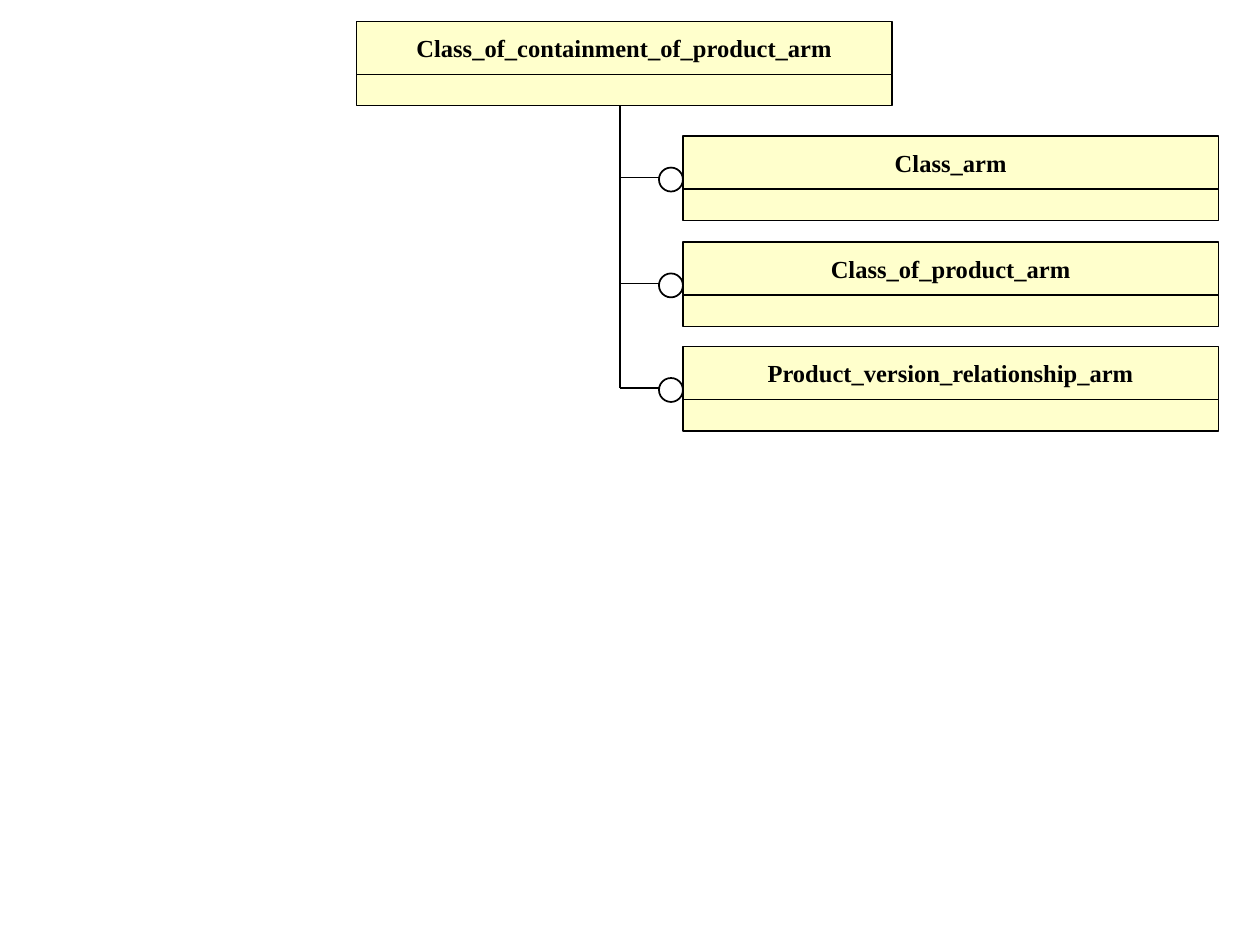
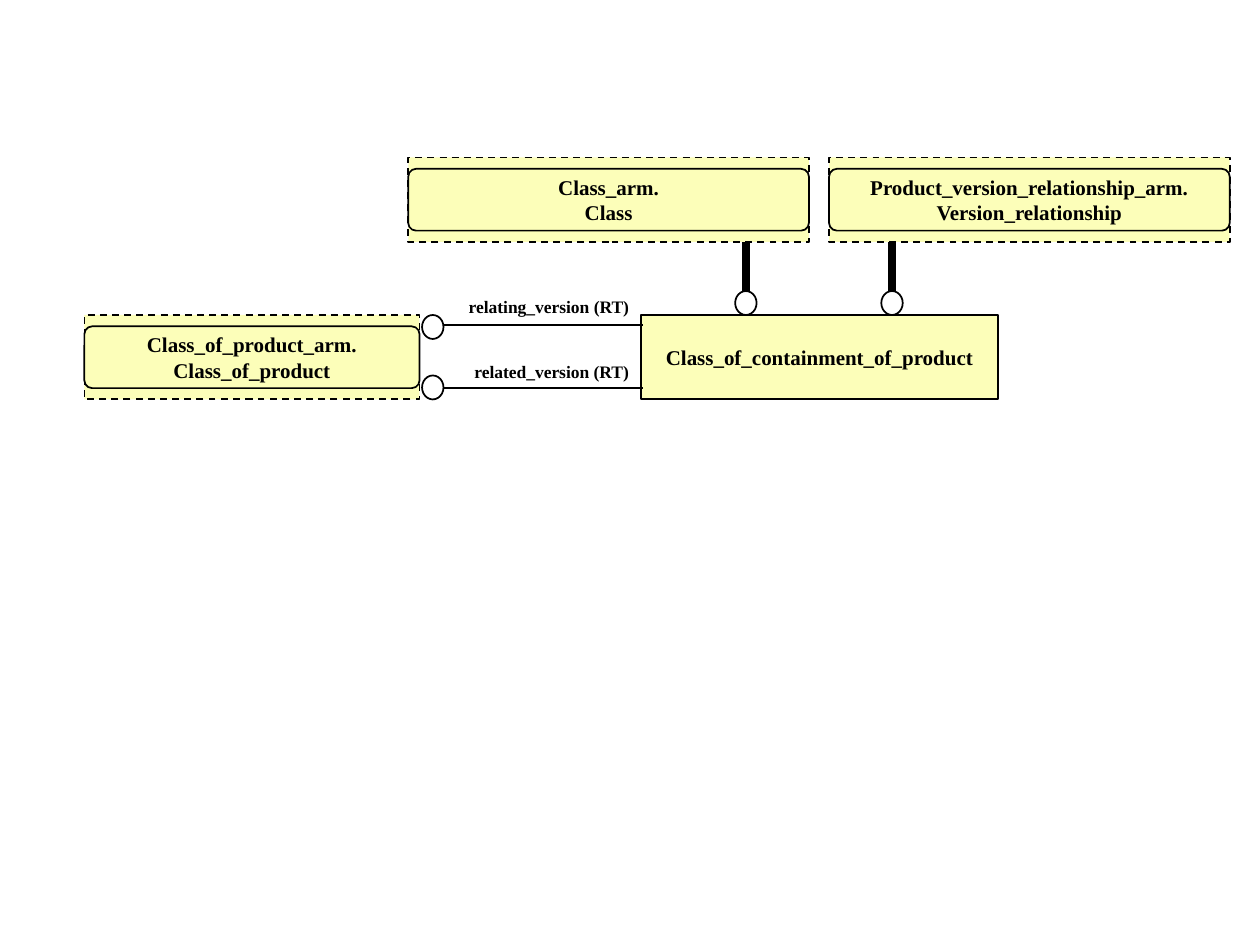
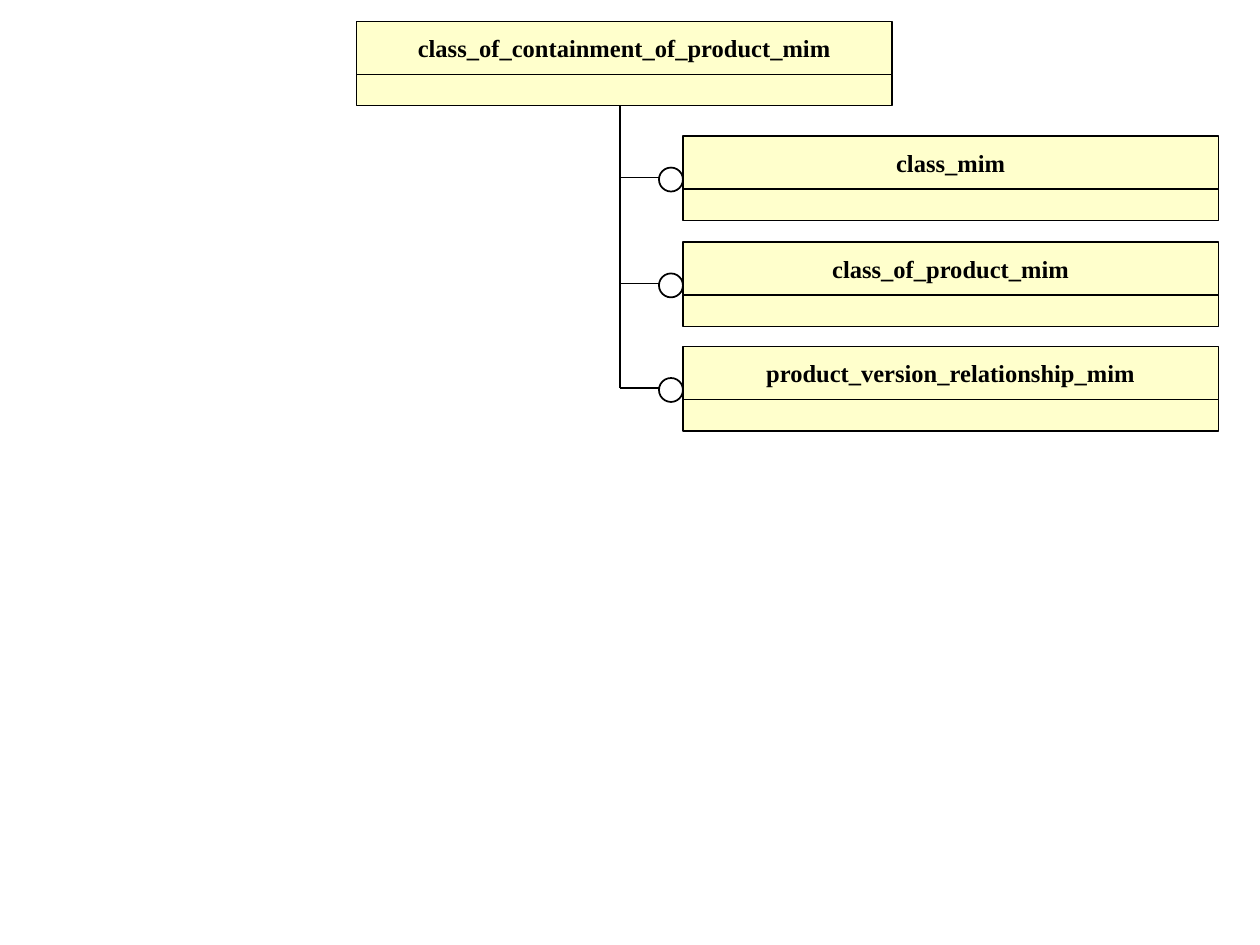
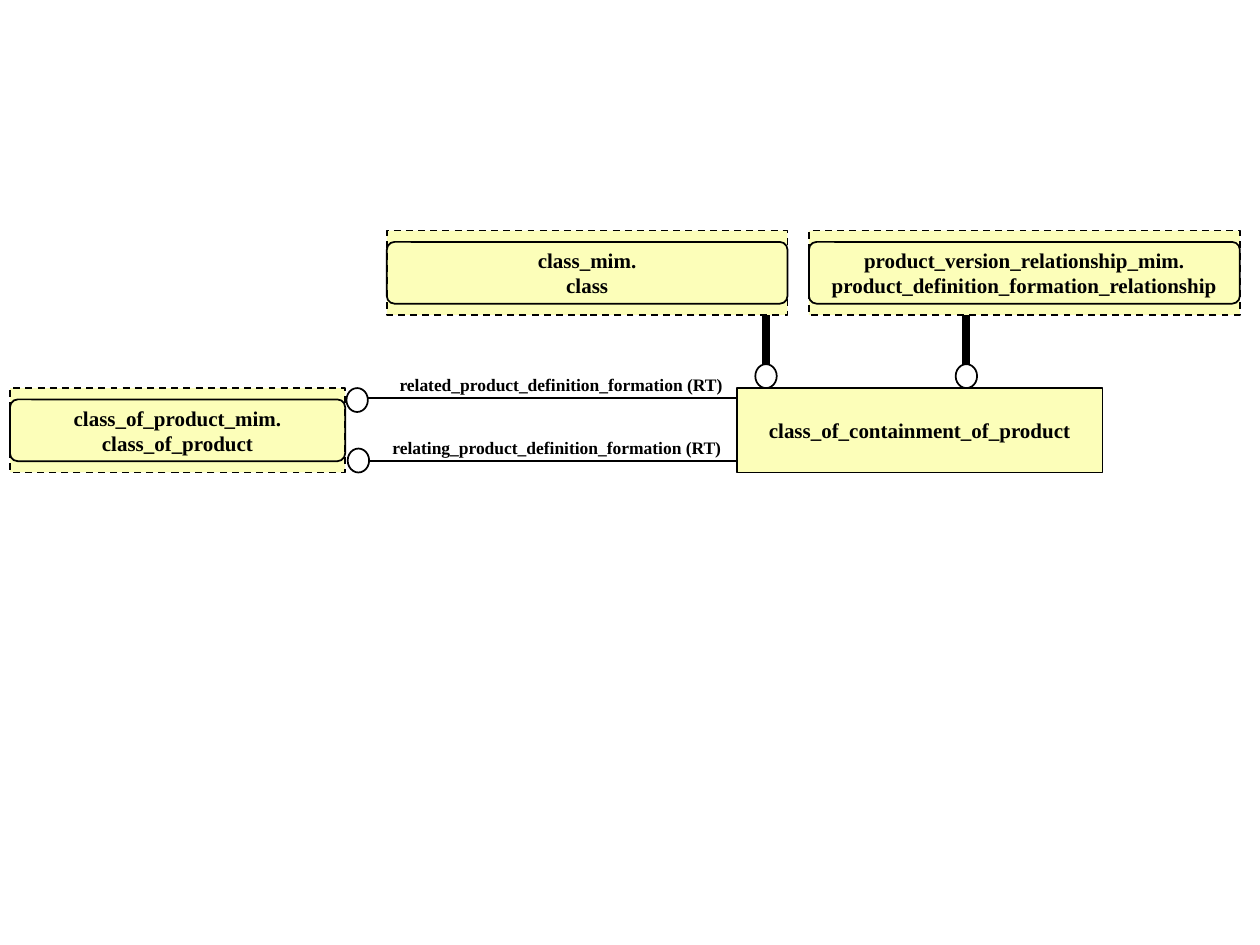
from lxml.etree import SubElement
from pptx import Presentation
from pptx.dml.color import RGBColor
from pptx.enum.dml import MSO_LINE
from pptx.enum.shapes import MSO_CONNECTOR, MSO_SHAPE
from pptx.enum.text import MSO_ANCHOR, MSO_AUTO_SIZE, PP_ALIGN
from pptx.oxml.ns import qn
from pptx.util import Inches, Pt

BLACK = RGBColor(0x00, 0x00, 0x00)
WHITE = RGBColor(0xFF, 0xFF, 0xFF)
SCHEMA_YELLOW = RGBColor(0xFF, 0xFF, 0xCC)
ENTITY_YELLOW = RGBColor(0xFC, 0xFE, 0xB9)
FONT = "Times New Roman"

SCHEMA_WIDTH = 4.25
NAME_HEIGHT = 0.42
ATTRIBUTE_HEIGHT = 0.25
ROW_TOPS = (1.08, 1.92, 2.75)
TRUNK_X = 4.92
ENTITY_HEIGHT = 0.67
ROW_DROP = 1.25
CIRCLE_WIDTH = 0.17
CIRCLE_HEIGHT = 0.19


def add_page(deck):
    return deck.slides.add_slide(deck.slide_layouts[6])


def write_lines(box, lines, size, align):
    frame = box.text_frame
    frame.text = "\n".join(lines)
    for para in frame.paragraphs:
        para.alignment = align
        para.font.name = FONT
        para.font.size = Pt(size)
        para.font.bold = True
        para.font.color.rgb = BLACK


def add_outlined(shapes, kind, left, top, width, height, fill=None, weight=1):
    box = shapes.add_shape(kind, Inches(left), Inches(top), Inches(width), Inches(height))
    box.shadow.inherit = False
    if fill is None:
        box.fill.background()
    else:
        box.fill.solid()
        box.fill.fore_color.rgb = fill
    box.line.color.rgb = BLACK
    box.line.width = Pt(weight)
    return box


def add_named_box(shapes, lines, left, top, width, height, fill, size, weight=1):
    box = add_outlined(shapes, MSO_SHAPE.RECTANGLE, left, top, width, height, fill, weight)
    box.text_frame.word_wrap = False
    box.text_frame.vertical_anchor = MSO_ANCHOR.MIDDLE
    write_lines(box, lines, size, PP_ALIGN.CENTER)
    return box


def add_line(page, start, end, weight):
    line = page.shapes.add_connector(
        MSO_CONNECTOR.STRAIGHT, *(Inches(value) for value in (*start, *end)))
    line.line.color.rgb = BLACK
    line.line.width = Pt(weight)
    SubElement(line._element.spPr, qn("a:effectLst"))


def add_circle(page, left, top, width=CIRCLE_WIDTH):
    add_outlined(page.shapes, MSO_SHAPE.OVAL, left, top, width, CIRCLE_HEIGHT, WHITE)


def add_schema(page, name, left, top):
    shapes = page.shapes.add_group_shape().shapes
    add_named_box(shapes, [name], left, top, SCHEMA_WIDTH, NAME_HEIGHT,
                  SCHEMA_YELLOW, 14, 0.75)
    add_outlined(shapes, MSO_SHAPE.RECTANGLE, left, top + NAME_HEIGHT,
                 SCHEMA_WIDTH, ATTRIBUTE_HEIGHT, SCHEMA_YELLOW, 0.75)


def add_schema_page(deck, parent, used_schemas):
    page = add_page(deck)
    add_schema(page, parent, 2.83, 0.17)
    add_line(page, (TRUNK_X, ROW_TOPS[-1] + 0.33), (TRUNK_X, 0.83), 0.75)
    for name, top in zip(used_schemas, ROW_TOPS):
        add_schema(page, name, 5.42, top)
        add_line(page, (TRUNK_X, top + 0.33), (5.25, top + 0.33), 0.75)
        add_circle(page, 5.23, top + 0.25, CIRCLE_HEIGHT)


def add_external_entity(page, lines, left, top, width):
    shapes = page.shapes.add_group_shape().shapes
    frame = add_named_box(shapes, lines, left, top, width, ENTITY_HEIGHT, ENTITY_YELLOW, 12)
    frame.line.dash_style = MSO_LINE.DASH
    inner = add_outlined(shapes, MSO_SHAPE.ROUNDED_RECTANGLE, left, top + 0.09, width, 0.49)
    inner.adjustments[0] = 0.125


def add_role(page, text, left, top, width, wrap):
    box = page.shapes.add_textbox(Inches(left), Inches(top), Inches(width), Inches(0.27))
    box.text_frame.word_wrap = wrap
    box.text_frame.auto_size = MSO_AUTO_SIZE.SHAPE_TO_FIT_TEXT
    write_lines(box, [text], 10, PP_ALIGN.RIGHT)


def add_supertype_stem(page, center, top, bottom):
    add_line(page, (center, top), (center, bottom - 0.17), 4.5)
    add_circle(page, center - CIRCLE_WIDTH / 2, bottom - CIRCLE_HEIGHT)


def add_entity_page(deck, top, entity, entity_left, entity_width, target, target_left,
                    supertypes, stems, roles, circles, line_start):
    page = add_page(deck)
    entity_top = top + ROW_DROP
    add_external_entity(page, target, target_left, entity_top, 2.66)
    add_named_box(page.shapes, [entity], entity_left, entity_top, entity_width,
                  ENTITY_HEIGHT, ENTITY_YELLOW, 12)
    for offset in (0.08, 0.58):
        add_line(page, (line_start, entity_top + offset),
                 (entity_left + 0.01, entity_top + offset), 1)
    for left, offset in zip(circles, (0, 0.48)):
        add_circle(page, left, entity_top + offset)
    for role in roles:
        add_role(page, *role)
    for center in stems:
        add_supertype_stem(page, center, top + ENTITY_HEIGHT, entity_top)
    for lines, left, width in supertypes:
        add_external_entity(page, lines, left, top, width)


def main():
    deck = Presentation()
    deck.slide_width, deck.slide_height = Inches(10), Inches(7.5)

    add_schema_page(deck, "Class_of_containment_of_product_arm",
                    ["Class_arm", "Class_of_product_arm", "Product_version_relationship_arm"])
    add_entity_page(
        deck, top=1.25,
        entity="Class_of_containment_of_product", entity_left=5.09, entity_width=2.83,
        target=["Class_of_product_arm.", "Class_of_product"], target_left=0.67,
        supertypes=[
            (["Class_arm.", "Class"], 3.24, 3.18),
            (["Product_version_relationship_arm.", "Version_relationship"], 6.58, 3.18),
        ],
        stems=(5.92, 7.08),
        roles=[
            ("relating_version (RT)", 2.62, 2.3, 2.47, True),
            ("related_version (RT)", 3.66, 2.82, 1.43, False),
        ],
        circles=(3.35, 3.35), line_start=3.51)

    add_schema_page(deck, "class_of_containment_of_product_mim",
                    ["class_mim", "class_of_product_mim", "product_version_relationship_mim"])
    add_entity_page(
        deck, top=1.83,
        entity="class_of_containment_of_product", entity_left=5.85, entity_width=2.9,
        target=["class_of_product_mim.", "class_of_product"], target_left=0.08,
        supertypes=[
            (["class_mim.", "class"], 3.07, 3.18),
            (["product_version_relationship_mim.",
              "product_definition_formation_relationship"], 6.42, 3.42),
        ],
        stems=(6.08, 7.67),
        roles=[
            ("related_product_definition_formation (RT)", 3, 2.92, 2.83, True),
            ("relating_product_definition_formation (RT)", 3.01, 3.42, 2.81, False),
        ],
        circles=(2.75, 2.76), line_start=2.92)

    deck.save("out.pptx")


if __name__ == "__main__":
    main()
